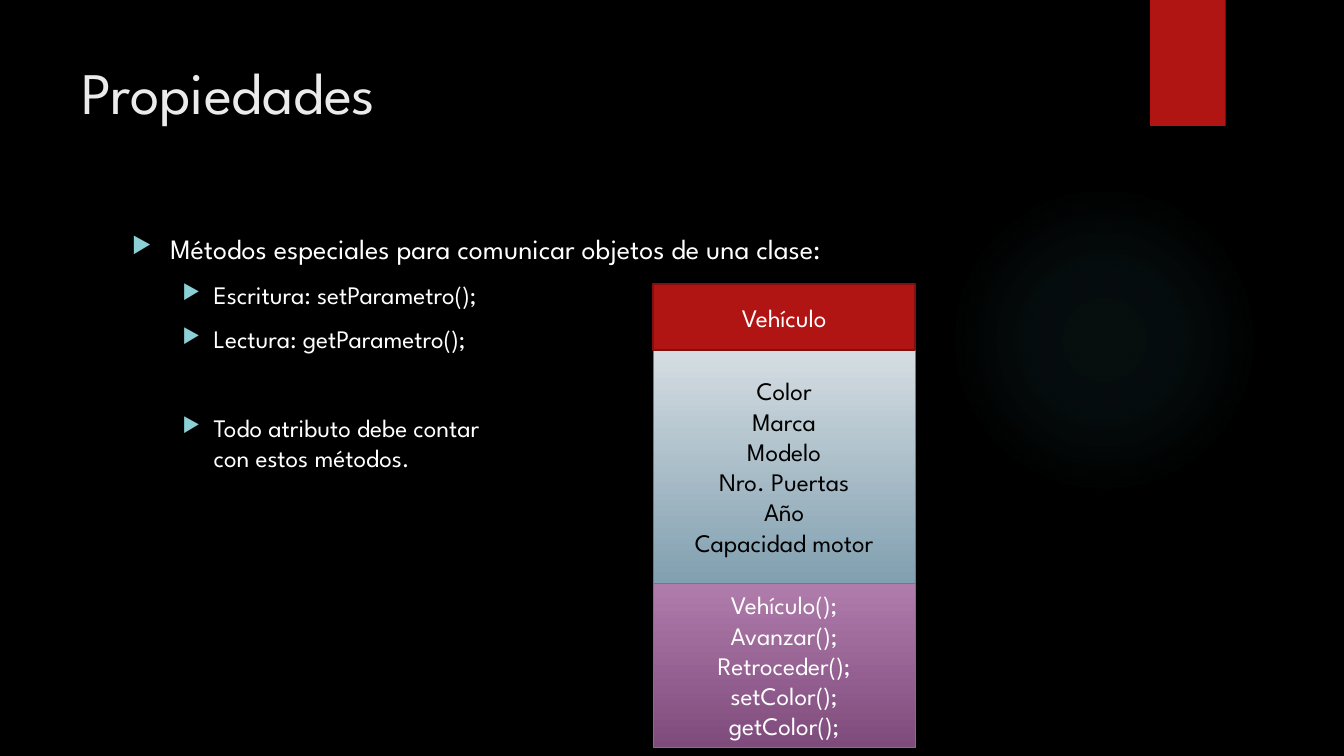
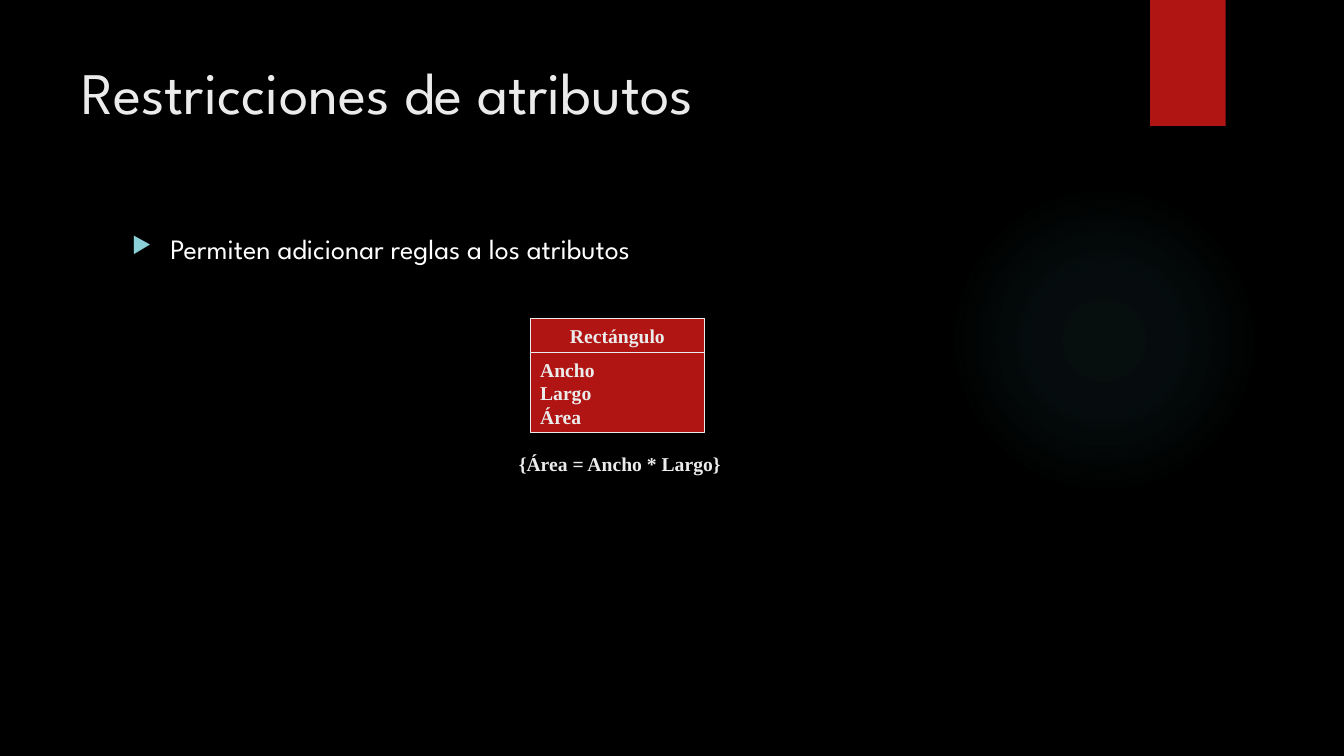
"""Build two slides on class properties and attribute constraints."""
from pptx import Presentation
from pptx.dml.color import RGBColor
from pptx.enum.shapes import MSO_SHAPE
from pptx.enum.text import MSO_ANCHOR, PP_ALIGN
from pptx.oxml import parse_xml
from pptx.oxml.ns import nsdecls
from pptx.util import Inches, Pt

RECTANGLE, OVAL = MSO_SHAPE.RECTANGLE, MSO_SHAPE.OVAL
LEFT, CENTER = PP_ALIGN.LEFT, PP_ALIGN.CENTER
TOP, MIDDLE = MSO_ANCHOR.TOP, MSO_ANCHOR.MIDDLE

BLACK = RGBColor(0x00, 0x00, 0x00)
WHITE = RGBColor(0xFF, 0xFF, 0xFF)
PALE = RGBColor(0xEB, 0xEB, 0xEB)
RED = RGBColor(0xB0, 0x15, 0x13)
DARK_RED = RGBColor(0x82, 0x10, 0x0E)
STEEL_LIGHT = RGBColor(0xD5, 0xDD, 0xE2)
STEEL_DARK = RGBColor(0x81, 0xA0, 0xB0)
STEEL_LINE = RGBColor(0x54, 0x84, 0x9A)
PURPLE_LIGHT = RGBColor(0xAF, 0x7C, 0xAC)
PURPLE_DARK = RGBColor(0x7F, 0x4B, 0x7C)
PURPLE_LINE = RGBColor(0x9E, 0x5E, 0x9B)
TEAL = RGBColor(0x50, 0xB9, 0xC1)
BULLET_COLOR = RGBColor(0x8A, 0xD0, 0xD6)

WIDTH, HEIGHT = Inches(13.33), Inches(7.5)
SANS, SERIF = "League Spartan", "Times New Roman"
TITLE_FONT = {"name": SANS, "size": Pt(42), "color": PALE}
LIGHT_FONT = {"name": SANS, "size": Pt(18), "color": WHITE}
DARK_FONT = {**LIGHT_FONT, "color": BLACK}
SERIF_FONT = {"name": SERIF, "size": Pt(14), "bold": True, "color": PALE}
LEVELS = [
    {"size": Pt(20), "left": Inches(0.38), "hanging": Inches(0.38)},
    {"size": Pt(18), "left": Inches(0.81), "hanging": Inches(0.31)},
]
BULLET_GAP, SECTION_GAP = 10, 41.6
GLOW_STOPS = [(0, 7), (36, 6), (69, 0)]


def place(left, top, width, height):
    """Turn percentages of the slide into a position and size."""
    return [round(share * side / 100) for share, side in
            zip((left, top, width, height), (WIDTH, HEIGHT, WIDTH, HEIGHT))]


def format_runs(paragraph, font_format):
    """Apply a dict of font values to every run of a paragraph."""
    for run in paragraph.runs:
        for name, value in font_format.items():
            if name == "color":
                run.font.color.rgb = value
            else:
                setattr(run.font, name, value)


def write_lines(frame, lines, font_format, alignment=LEFT, anchor=TOP, wrap=True):
    """Fill a text frame with one paragraph per line."""
    frame.word_wrap = wrap
    frame.vertical_anchor = anchor
    frame.text = "\n".join(lines)
    for paragraph in frame.paragraphs:
        paragraph.alignment = alignment
        format_runs(paragraph, font_format)


def add_text(slide, area, lines, font_format, **layout):
    """Add a text box with formatted lines."""
    box = slide.shapes.add_textbox(*place(*area))
    write_lines(box.text_frame, lines, font_format, **layout)


def add_panel(slide, kind, area, colors, line=None, line_width=0.75):
    """Add a shape with a solid fill or a downward gradient."""
    shape = slide.shapes.add_shape(kind, *place(*area))
    shape.shadow.inherit = False
    if len(colors) == 1:
        shape.fill.solid()
        shape.fill.fore_color.rgb = colors[0]
    else:
        shape.fill.gradient()
        shape.fill.gradient_angle = 270
        for stop, color in zip(shape.fill.gradient_stops, colors):
            stop.color.rgb = color
    if line is None:
        shape.line.fill.background()
    else:
        shape.line.color.rgb = line
        shape.line.width = Pt(line_width)
    return shape


def add_glow(slide):
    """Add the faint round glow on the right."""
    glow = add_panel(slide, OVAL, (70.58, 24.4, 23.1, 41.07), [TEAL])
    stops = "".join(
        f'<a:gs pos="{position * 1000}"><a:srgbClr val="{TEAL}">'
        f'<a:alpha val="{alpha * 1000}"/></a:srgbClr></a:gs>'
        for position, alpha in GLOW_STOPS)
    gradient = parse_xml(
        f'<a:gradFill {nsdecls("a")} rotWithShape="1"><a:gsLst>{stops}</a:gsLst>'
        '<a:path path="circle"><a:fillToRect l="50000" t="50000" r="50000" b="50000"/>'
        '</a:path></a:gradFill>')
    properties = glow.element.spPr
    solid = properties.find("a:solidFill", {"a": gradient.nsmap["a"]})
    properties.replace(solid, gradient)


def add_base_slide(presentation, title):
    """Add a black slide with the glow, red band and title."""
    slide = presentation.slides.add_slide(presentation.slide_layouts[6])
    slide.background.fill.solid()
    slide.background.fill.fore_color.rgb = BLACK
    add_glow(slide)
    add_panel(slide, RECTANGLE, (85.58, 0, 5.62, 16.67), [RED])
    add_text(slide, (5.32, 6.67, 77.18, 20.4), [title], TITLE_FONT)
    return slide


def add_bullets(slide, items):
    """Add bulleted paragraphs from (level, text, space before) items."""
    box = slide.shapes.add_textbox(*place(9.08, 30, 73.35, 61.2))
    frame = box.text_frame
    frame.word_wrap = True
    for index, (level, text, gap) in enumerate(items):
        paragraph = frame.add_paragraph() if index else frame.paragraphs[0]
        paragraph.text = text
        paragraph.level = level
        paragraph.space_before = Pt(gap)
        style = LEVELS[level]
        format_runs(paragraph, {**LIGHT_FONT, "size": style["size"]})
        properties = paragraph._p.get_or_add_pPr()
        properties.set("marL", str(style["left"]))
        properties.set("indent", str(-style["hanging"]))
        for markup in (f'<a:buClr {nsdecls("a")}><a:srgbClr val="{BULLET_COLOR}"/></a:buClr>',
                       f'<a:buSzPct {nsdecls("a")} val="80000"/>',
                       f'<a:buChar {nsdecls("a")} char="▶"/>'):
            properties.append(parse_xml(markup))


def add_class_diagram(slide, left, top, width, compartments):
    """Stack class compartments, drawing upper ones over lower ones."""
    bottom = top + sum(compartment["height"] for compartment in compartments)
    for compartment in reversed(compartments):
        bottom -= compartment["height"]
        area = (left, bottom, width, compartment["height"])
        shape = add_panel(slide, RECTANGLE, area, compartment["colors"],
                          compartment["line"], compartment.get("line_width", 0.75))
        write_lines(shape.text_frame, compartment["lines"], compartment["font"],
                    compartment.get("alignment", CENTER), MIDDLE)


def build_properties(presentation):
    """Build the slide on properties."""
    slide = add_base_slide(presentation, "Propiedades")
    add_bullets(slide, [
        (0, "Métodos especiales para comunicar objetos de una clase:", BULLET_GAP),
        (1, "Escritura: setParametro();", BULLET_GAP),
        (1, "Lectura: getParametro();", BULLET_GAP),
        (1, "Todo atributo debe contar\vcon estos métodos.", SECTION_GAP),
    ])
    add_class_diagram(slide, 48.6, 37.6, 19.5, [
        {"height": 8.67, "colors": [RED], "line": DARK_RED, "line_width": 1.5,
         "font": LIGHT_FONT, "lines": ["Vehículo"]},
        {"height": 30.87, "colors": [STEEL_LIGHT, STEEL_DARK], "line": STEEL_LINE,
         "font": DARK_FONT,
         "lines": ["Color", "Marca", "Modelo", "Nro. Puertas", "Año", "Capacidad motor"]},
        {"height": 21.73, "colors": [PURPLE_LIGHT, PURPLE_DARK], "line": PURPLE_LINE,
         "font": LIGHT_FONT,
         "lines": ["Vehículo();", "Avanzar();", "Retroceder();", "setColor();", "getColor();"]},
    ])


def build_constraints(presentation):
    """Build the slide on attribute constraints."""
    slide = add_base_slide(presentation, "Restricciones de atributos")
    add_bullets(slide, [(0, "Permiten adicionar reglas a los atributos", BULLET_GAP)])
    shared = {"colors": [RED], "line": PALE, "font": SERIF_FONT}
    add_class_diagram(slide, 39.45, 42.13, 12.98, [
        {**shared, "height": 4.53, "lines": ["Rectángulo"]},
        {**shared, "height": 10.6, "lines": ["Ancho", "Largo", "Área"], "alignment": LEFT},
    ])
    add_text(slide, (37.8, 59.07, 16.65, 4.4), ["{Área = Ancho * Largo}"], SERIF_FONT,
             alignment=CENTER, wrap=False)


def main():
    """Create and save the presentation."""
    presentation = Presentation()
    presentation.slide_width, presentation.slide_height = WIDTH, HEIGHT
    build_properties(presentation)
    build_constraints(presentation)
    presentation.save("out.pptx")


if __name__ == "__main__":
    main()
